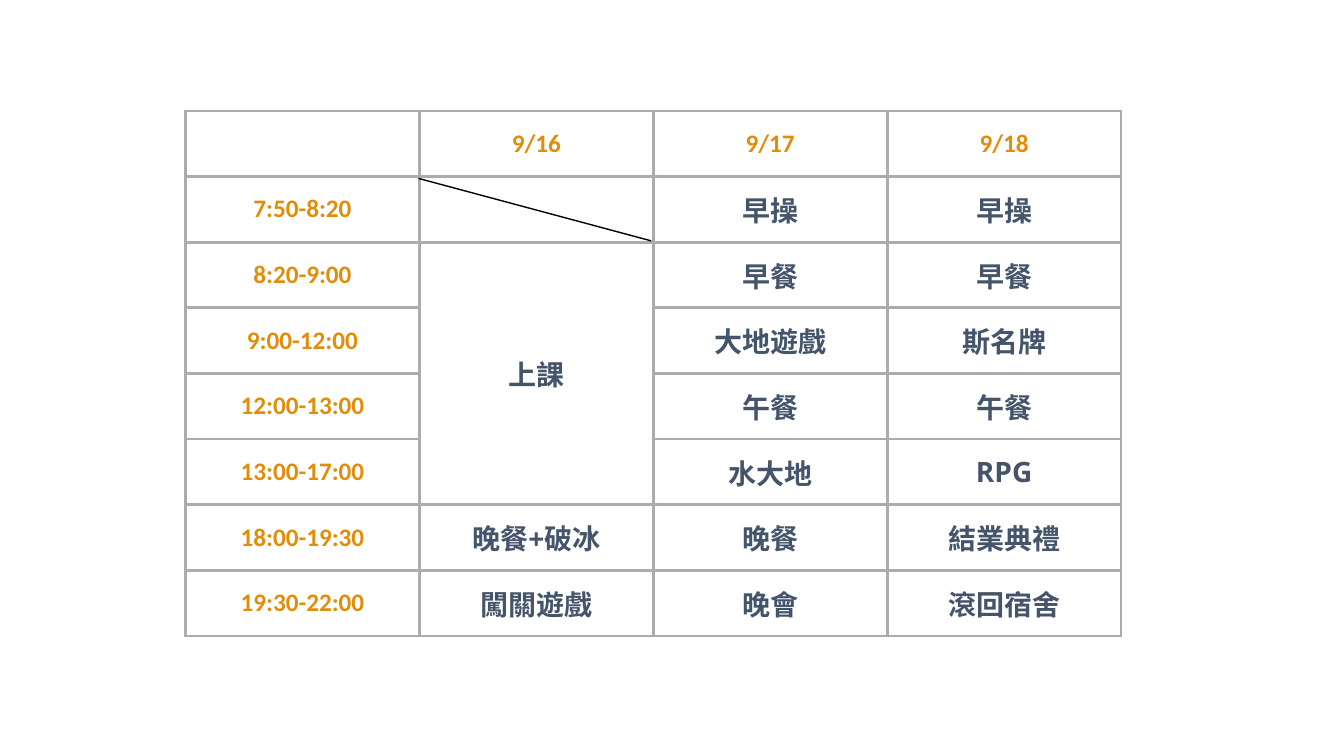
"""Build a slide with a three-day camp timetable."""
from lxml.etree import SubElement
from pptx import Presentation
from pptx.dml.color import RGBColor
from pptx.enum.shapes import MSO_CONNECTOR
from pptx.enum.text import MSO_ANCHOR, PP_ALIGN
from pptx.oxml.ns import qn
from pptx.util import Inches, Pt

COLORS = {"heading": "E28D0A", "activity": "44546A", "border": "AFABAB", "diagonal": "000000"}
SCHEDULE = [
    ["", "9/16", "9/17", "9/18"],
    ["7:50-8:20", "", "早操", "早操"],
    ["8:20-9:00", "上課", "早餐", "早餐"],
    ["9:00-12:00", "", "大地遊戲", "斯名牌"],
    ["12:00-13:00", "", "午餐", "午餐"],
    ["13:00-17:00", "", "水大地", "RPG"],
    ["18:00-19:30", "晚餐+破冰", "晚餐", "結業典禮"],
    ["19:30-22:00", "闖關遊戲", "晚會", "滾回宿舍"],
]


def add_borders(cell):
    properties = cell._tc.get_or_add_tcPr()
    for side in ("lnL", "lnR", "lnT", "lnB"):
        border = SubElement(properties, qn(f"a:{side}"), w=str(Pt(2.25)))
        fill = SubElement(border, qn("a:solidFill"))
        SubElement(fill, qn("a:srgbClr"), val=COLORS["border"])


deck = Presentation()
deck.slide_width, deck.slide_height = Inches(13.33), Inches(7.5)
page = deck.slides.add_slide(deck.slide_layouts[6])

frame = page.shapes.add_table(
    len(SCHEDULE), len(SCHEDULE[0]), Inches(1.84), Inches(1.1), Inches(9.28), Inches(5.21)
)
timetable = frame.table
timetable.first_row = False
timetable.horz_banding = False

for row, entries in enumerate(SCHEDULE):
    for column, entry in enumerate(entries):
        cell = timetable.cell(row, column)
        add_borders(cell)
        cell.fill.background()
        cell.vertical_anchor = MSO_ANCHOR.MIDDLE
        if not entry:
            continue
        cell.text = entry
        heading = row == 0 or column == 0
        paragraph = cell.text_frame.paragraphs[0]
        paragraph.alignment = PP_ALIGN.CENTER
        paragraph.font.name = "Calibri" if heading else "Open Sans"
        paragraph.font.size = Pt(18 if heading else 20)
        paragraph.font.bold = True
        paragraph.font.color.rgb = RGBColor.from_string(COLORS["heading" if heading else "activity"])

timetable.cell(2, 1).merge(timetable.cell(5, 1))

diagonal = page.shapes.add_connector(
    MSO_CONNECTOR.STRAIGHT, Inches(4.15), Inches(1.77), Inches(6.46), Inches(2.39)
)
diagonal.line.color.rgb = RGBColor.from_string(COLORS["diagonal"])
diagonal.line.width = Pt(1)
SubElement(diagonal._element.spPr, qn("a:effectLst"))

deck.save("out.pptx")
